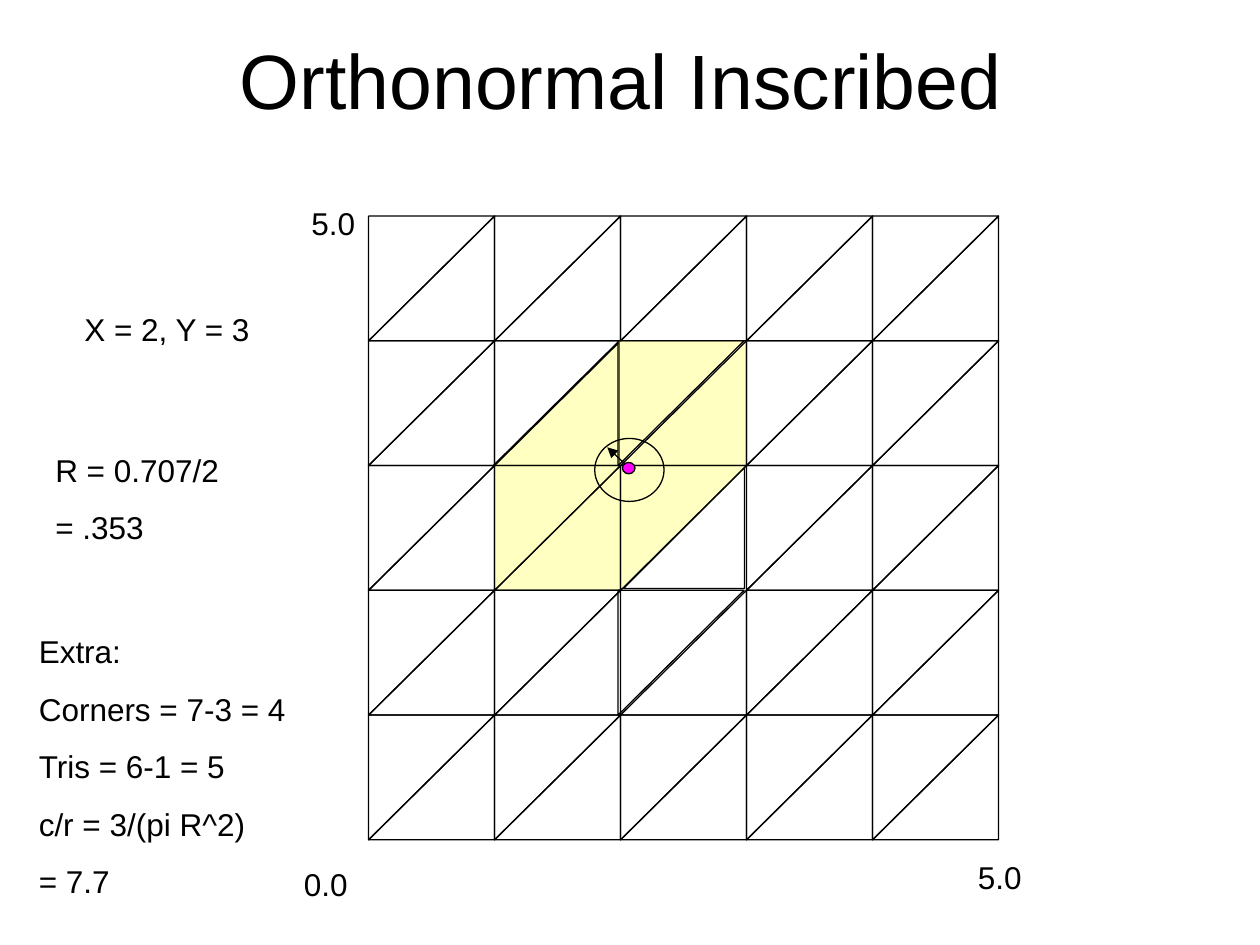
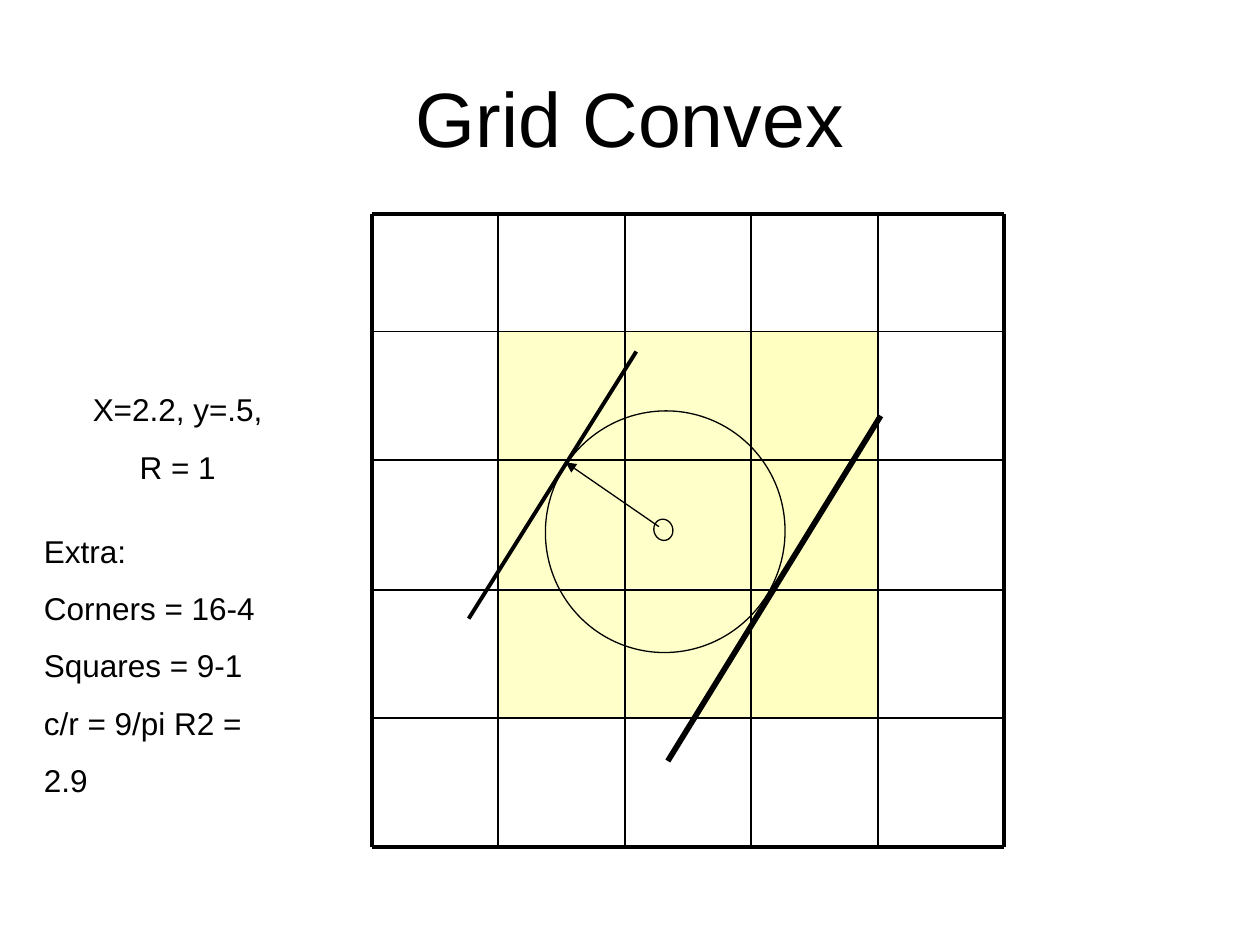
from itertools import product

from lxml.etree import SubElement
from pptx import Presentation
from pptx.dml.color import RGBColor
from pptx.enum.shapes import MSO_CONNECTOR, MSO_SHAPE
from pptx.enum.text import MSO_ANCHOR, MSO_AUTO_SIZE, PP_ALIGN as ALIGN
from pptx.oxml.ns import qn
from pptx.util import Emu, Pt

# Shared style
BLACK = RGBColor(0x00, 0x00, 0x00)
WHITE = RGBColor(0xFF, 0xFF, 0xFF)
YELLOW = RGBColor(0xFF, 0xFF, 0x66)
MAGENTA = RGBColor(0xFF, 0x00, 0xFF)
FONT = "Arial"
TITLE_SIZE, BODY_SIZE = 44, 18
PARAGRAPH_GAP = 11.2
THIN, MEDIUM, THICK, HEAVY = 0.75, 1, 2.25, 3.25
TITLE_ONLY = 5
EMU_PER_PX = 9144  # 100 px to the inch


def px(length):
    return Emu(length * EMU_PER_PX)


def write_text(frame, text, size=BODY_SIZE, align=ALIGN.LEFT, gap=PARAGRAPH_GAP):
    """Fill a text frame with one paragraph for each line of text."""
    for index, line in enumerate(text.split("\n")):
        paragraph = frame.paragraphs[0] if index == 0 else frame.add_paragraph()
        paragraph.alignment = align
        paragraph.space_before = Pt(gap)
        run = paragraph.add_run()
        run.text = line
        run.font.name = FONT
        run.font.size = Pt(size)
        run.font.color.rgb = BLACK


class SlideBuilder:
    """Holds the presentation, the current slide and its drawing target."""

    def __init__(self):
        self.presentation = Presentation()
        self.presentation.slide_width = px(1000)
        self.presentation.slide_height = px(750)

    def start_slide(self, title, left, top):
        layout = self.presentation.slide_layouts[TITLE_ONLY]
        self.slide = self.presentation.slides.add_slide(layout)
        self.slide.background.fill.solid()
        self.slide.background.fill.fore_color.rgb = WHITE
        shape = self.slide.shapes.title
        shape.left, shape.top = px(left), px(top)
        shape.width, shape.height = px(900), px(125)
        shape.text_frame.vertical_anchor = MSO_ANCHOR.MIDDLE
        write_text(shape.text_frame, title, size=TITLE_SIZE, align=ALIGN.CENTER, gap=0)

    def start_group(self):
        self.target = self.slide.shapes.add_group_shape().shapes

    def text(self, text, left, top, width, height, align=ALIGN.LEFT):
        box = self.slide.shapes.add_textbox(px(left), px(top), px(width), px(height))
        box.text_frame.word_wrap = True
        box.text_frame.auto_size = MSO_AUTO_SIZE.SHAPE_TO_FIT_TEXT
        write_text(box.text_frame, text, align=align)

    def shape(self, kind, left, top, width, height,
              fill=None, opacity=100, line=THIN, rotation=0):
        shape = self.target.add_shape(kind, px(left), px(top), px(width), px(height))
        shape.shadow.inherit = False
        shape.rotation = rotation
        if fill is None:
            shape.fill.background()
        else:
            shape.fill.solid()
            shape.fill.fore_color.rgb = fill
            if opacity < 100:
                color = next(shape.fill._xPr.iter(qn("a:srgbClr")))
                SubElement(color, qn("a:alpha"), val=str(opacity * 1000))
        if line:
            shape.line.color.rgb = BLACK
            shape.line.width = Pt(line)
        else:
            shape.line.fill.background()

    def line(self, start, end, width=THIN, arrow=False):
        points = [px(value) for value in (*start, *end)]
        connector = self.target.add_connector(MSO_CONNECTOR.STRAIGHT, *points)
        connector.line.color.rgb = BLACK
        connector.line.width = Pt(width)
        if arrow:
            SubElement(connector.line._get_or_add_ln(), qn("a:tailEnd"), type="triangle")
        SubElement(connector._element.spPr, qn("a:effectLst"))


def build_orthonormal(builder):
    builder.start_slide("Orthonormal Inscribed", 43, 0)

    # Grid of cells, each split into an upper left and a lower right triangle
    upper, lower = 90, 270
    highlighted = {(1, 1, lower), (2, 1, upper), (2, 1, lower),
                   (1, 2, upper), (1, 2, lower), (2, 2, upper)}
    nudges = {(1, 1, lower): -1, (2, 1, upper): -2, (2, 3, upper): -2}
    inset_triangle = (2, 2, lower)
    builder.start_group()
    for triangle in product(range(5), range(5), (lower, upper)):
        column, row, rotation = triangle
        left = 293 + 100 * column + nudges.get(triangle, 0)
        top, width, height = 171 + 99 * row, 99, 100
        if triangle == inset_triangle:
            left, top, width, height = left + 2, top + 2, 96, 96
        builder.shape(MSO_SHAPE.RIGHT_TRIANGLE, left, top, width, height,
                      fill=YELLOW if triangle in highlighted else None,
                      opacity=40, rotation=rotation)

    # Axis labels
    for label, left, top in (("0.0", 203, 682), ("5.0", 209, 157), ("5.0", 738, 676)):
        builder.text(label, left, top, 111, 40, align=ALIGN.CENTER)

    # Calculations
    builder.text("X = 2, Y = 3", 30, 241, 205, 40, align=ALIGN.CENTER)
    builder.text("R = 0.707/2\n= .353", 34, 353, 171, 86)
    builder.text("Extra:\nCorners = 7-3 = 4\nTris = 6-1 = 5\nc/r = 3/(pi R^2)\n= 7.7",
                 21, 497, 266, 223)

    # Inscribed circle with its radius and centre
    builder.start_group()
    builder.line((500, 372), (482, 355), arrow=True)
    builder.shape(MSO_SHAPE.OVAL, 472, 348, 55, 50)
    builder.shape(MSO_SHAPE.OVAL, 494, 367, 10, 9, fill=MAGENTA)


def build_grid_convex(builder):
    builder.start_slide("Grid Convex", 50, 30)
    columns = [round(295 + 100.4 * index) for index in range(6)]
    rows = [170] + [round(263 + 102.25 * index) for index in range(5)]

    # Highlighted cells
    builder.start_group()
    for column, row in product(range(1, 4), range(1, 4)):
        builder.shape(MSO_SHAPE.RECTANGLE, columns[column], rows[row], 100, 102,
                      fill=YELLOW, opacity=40 if column == 3 else 35, line=None)

    # Grid lines, thicker on the border
    for index, (x, y) in enumerate(zip(columns, rows)):
        width = THICK if index in (0, 5) else MEDIUM
        builder.line((columns[0], y), (columns[-1], y), width)
        builder.line((x, rows[0]), (x, rows[-1]), width)

    # Circle between two tangents
    builder.start_group()
    builder.line((505, 279), (372, 491), THICK)
    builder.shape(MSO_SHAPE.OVAL, 432, 327, 192, 190, rotation=288.9)
    builder.line((523, 418), (449, 367), arrow=True)
    builder.line((699, 330), (530, 604), HEAVY)
    builder.shape(MSO_SHAPE.OVAL, 519, 412, 15, 17, rotation=344.3)

    # Calculations
    builder.text("X=2.2, y=.5,\nR = 1", 60, 305, 162, 86, align=ALIGN.CENTER)
    builder.text("Extra:\nCorners = 16-4\nSquares = 9-1\nc/r = 9/pi R2 =\n2.9",
                 25, 417, 266, 268)


def main():
    builder = SlideBuilder()
    build_orthonormal(builder)
    build_grid_convex(builder)
    builder.presentation.save("out.pptx")


if __name__ == "__main__":
    main()
